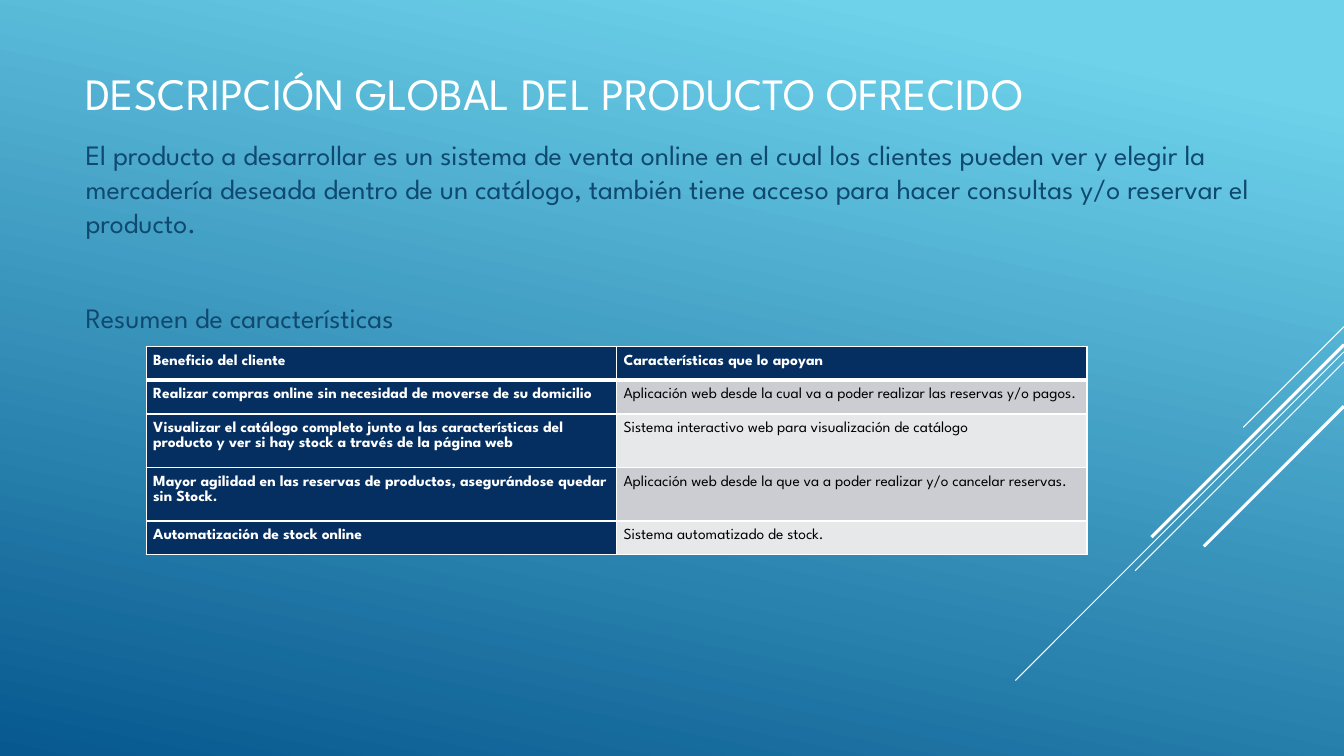
from lxml import etree
from pptx import Presentation
from pptx.dml.color import RGBColor
from pptx.enum import shapes, text
from pptx.oxml import ns
from pptx.util import Pt

FONT = "League Spartan"
WHITE = RGBColor(0xFF, 0xFF, 0xFF)
BLACK = RGBColor(0, 0, 0)
SKY = RGBColor(0x6E, 0xD2, 0xEB)
OCEAN = RGBColor(0x06, 0x58, 0x8E)
INK = RGBColor(0x0F, 0x49, 0x6F)
NAVY = RGBColor(0x05, 0x2F, 0x61)
BANDS = (RGBColor(0xCC, 0xCD, 0xD2), RGBColor(0xE7, 0xE8, 0xEA))

WIDTH, HEIGHT = 960, 540
TITLE = "DESCRIPCIÓN GLOBAL DEL PRODUCTO OFRECIDO"
INTRO = ("El producto a desarrollar es un sistema de venta online en el cual los "
         "clientes pueden ver y elegir la mercadería deseada dentro de un catálogo, "
         "también tiene acceso para hacer consultas y/o reservar el producto.")
SUMMARY = "Resumen de características"
BENEFITS = [
    ("Beneficio del cliente", "Características que lo apoyan"),
    ("Realizar compras online sin necesidad de moverse de su domicilio",
     "Aplicación web desde la cual va a poder realizar las reservas y/o pagos."),
    ("Visualizar el catálogo completo junto a las características del producto "
     "y ver si hay stock a través de la página web",
     "Sistema interactivo web para visualización de catálogo"),
    ("Mayor agilidad en las reservas de productos, asegurándose quedar sin Stock.",
     "Aplicación web desde la que va a poder realizar y/o cancelar reservas."),
    ("Automatización de stock online", "Sistema automatizado de stock."),
]
ROW_HEIGHTS = (21.2, 20.8, 31.4, 31.4, 20.8)
# Start height on the right edge, extent on both axes, line width
DIAGONALS = [(233.3, 72, 0.75), (251.3, 234.7, 0.75), (258.5, 149.2, 0.75),
             (246.2, 137.5, 2.25), (290.2, 100.1, 2.25)]


def write(para, words, size, color, bold=False, spacing=None, before=0, after=0):
    """Put one formatted span of text in a paragraph."""
    para.space_before, para.space_after = Pt(before), Pt(after)
    if spacing:
        para.line_spacing = spacing
    span = para.add_run()
    span.text = words
    span.font.name, span.font.size = FONT, Pt(size)
    span.font.bold, span.font.color.rgb = bold, color


def add_border(cell, side, width):
    """Draw a white border on one side (L, R, T or B) of a cell."""
    line = etree.SubElement(cell._tc.get_or_add_tcPr(), ns.qn("a:ln" + side),
                            w=str(Pt(width)))
    fill = etree.SubElement(line, ns.qn("a:solidFill"))
    etree.SubElement(fill, ns.qn("a:srgbClr"), val=str(WHITE))


class SlideBuilder:
    """Holds the slide and draws its elements in one style."""

    def __init__(self, page):
        """Keep the page to draw on."""
        self.page = page

    def background(self, start, end, angle):
        """Fill the page with a gradient; the angle runs clockwise."""
        fill = self.page.background.fill
        fill.gradient()
        fill.gradient_angle = 360 - angle
        for stop, color, position in zip(fill.gradient_stops, (start, end), (0.1, 1)):
            stop.color.rgb, stop.position = color, position

    def diagonal(self, top, extent, width):
        """Draw a white line from the right edge down to the left at 45 degrees."""
        line = self.page.shapes.add_connector(
            shapes.MSO_CONNECTOR.STRAIGHT,
            Pt(WIDTH), Pt(top), Pt(WIDTH - extent), Pt(top + extent))
        line.line.color.rgb, line.line.width = WHITE, Pt(width)
        etree.SubElement(line._element.spPr, ns.qn("a:effectLst"))

    def text_box(self, left, top, width, height, anchor):
        """Add a wrapping text box and return its text frame."""
        box = self.page.shapes.add_textbox(Pt(left), Pt(top), Pt(width), Pt(height))
        frame = box.text_frame
        frame.word_wrap, frame.vertical_anchor = True, anchor
        return frame

    def table(self, rows, left, top, column_width, heights):
        """Add a table with a navy header and first column and banded cells."""
        columns = len(rows[0])
        grid = self.page.shapes.add_table(
            len(rows), columns, Pt(left), Pt(top),
            Pt(column_width * columns), Pt(sum(heights))).table
        grid.horz_banding = False
        for r, row in enumerate(rows):
            grid.rows[r].height = Pt(heights[r])
            for c, words in enumerate(row):
                dark = r == 0 or c == 0
                self.cell(grid.cell(r, c), words, dark,
                          NAVY if dark else BANDS[(r - 1) % 2],
                          top=3 if r == 1 else 1, bottom=3 if r == 0 else 1)

    def cell(self, cell, words, dark, fill, top, bottom):
        """Format and fill one table cell."""
        for side, width in zip("LRTB", (1, 1, top, bottom)):
            add_border(cell, side, width)
        cell.fill.solid()
        cell.fill.fore_color.rgb = fill
        cell.margin_left = cell.margin_right = Pt(5)
        cell.margin_top = cell.margin_bottom = Pt(5)
        write(cell.text_frame.paragraphs[0], words, 11,
              WHITE if dark else BLACK, bold=dark, spacing=1.07)


def main():
    """Build the slide and save it."""
    deck = Presentation()
    deck.slide_width, deck.slide_height = Pt(WIDTH), Pt(HEIGHT)
    slide = SlideBuilder(deck.slides.add_slide(deck.slide_layouts[6]))
    slide.background(SKY, OCEAN, 102)
    for top, extent, width in DIAGONALS:
        slide.diagonal(top, extent, width)

    title = slide.text_box(54, 14.4, 792, 103, text.MSO_ANCHOR.MIDDLE)
    write(title.paragraphs[0], TITLE, 32, WHITE)

    body = slide.text_box(54, 95, 854, 150, text.MSO_ANCHOR.TOP)
    write(body.paragraphs[0], INTRO, 20, INK, spacing=Pt(24), after=6)
    write(body.add_paragraph(), SUMMARY, 20, INK, spacing=Pt(24), before=38)

    slide.table(BENEFITS, 104.4, 247.4, 336, ROW_HEIGHTS)
    deck.save("out.pptx")


main()
